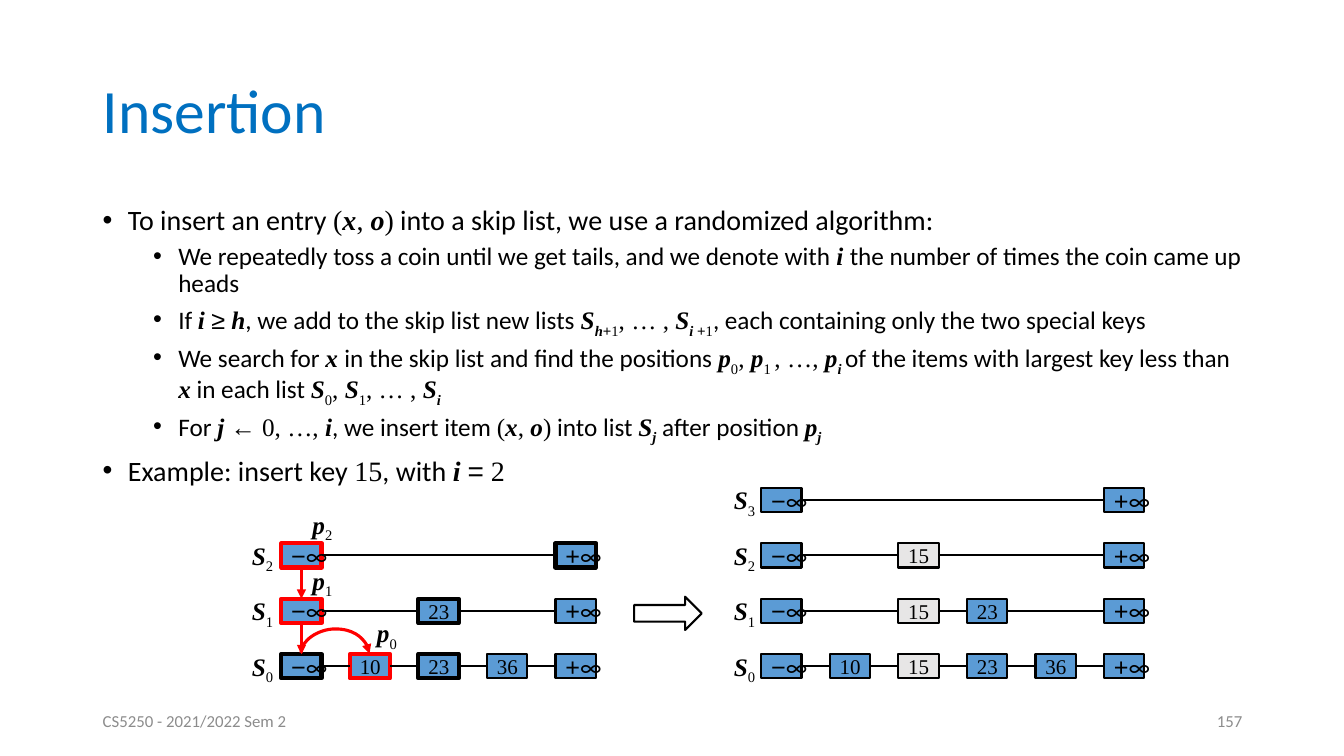
from dataclasses import dataclass
from itertools import pairwise
from typing import NamedTuple

import pptx
import pptx.dml.color
import pptx.enum.shapes
import pptx.enum.text
import pptx.oxml.ns
import pptx.shapes.autoshape
import pptx.shapes.connector
import pptx.slide
import pptx.text.text
import pptx.util
from lxml import etree

Inches = pptx.util.Inches
Pt = pptx.util.Pt
qn = pptx.oxml.ns.qn
SHAPE = pptx.enum.shapes.MSO_SHAPE
CONNECTOR = pptx.enum.shapes.MSO_CONNECTOR
ANCHOR = pptx.enum.text.MSO_ANCHOR
ALIGN = pptx.enum.text.PP_ALIGN

COLORS = {"title": "0070C0", "ink": "000000", "footer": "8C8C8C",
          "entry": "5B9BD5", "inserted": "E7E6E6", "visited": "FF0000"}
TOP, LEFT, BOTTOM, RIGHT = range(4)
NODE_W, NODE_H, COLUMN_STEP, LEVEL_STEP, BASE_Y = 0.4, 0.24, 0.68, 0.55, 6.49


class Style(NamedTuple):
    font: str
    variable: bool = False
    subscript: bool = False


PLAIN = Style("Calibri")
SYMBOL = Style("Arial")
MATH = Style("Times New Roman")
VAR = Style("Times New Roman", variable=True)
SUB = Style("Times New Roman", subscript=True)
VAR_SUB = Style("Times New Roman", variable=True, subscript=True)
SYMBOL_SUB = Style("Arial", subscript=True)

Span = tuple[str, Style]
PAIR: list[Span] = [("(", MATH), ("x", VAR), (", ", MATH), ("o", VAR), (")", MATH)]


def indexed(name: str, index: str, style: Style = SUB) -> list[Span]:
    return [(name, VAR), (index, style)]


class Bullet(NamedTuple):
    level: int
    spans: list[Span]


BULLETS = [
    Bullet(0, [("To insert an entry ", PLAIN), *PAIR,
               (" into a skip list, we use a randomized algorithm:", PLAIN)]),
    Bullet(1, [("We repeatedly toss a coin until we get tails, and we denote with ", PLAIN),
               ("i ", VAR), ("the number of times the coin came up heads", PLAIN)]),
    Bullet(1, [("If ", PLAIN), ("i ", VAR), ("≥", SYMBOL), (" h", VAR),
               (", we add to the skip list new lists ", PLAIN),
               *indexed("S", "h", VAR_SUB), ("+", SYMBOL_SUB), ("1", SUB), (", … , ", MATH),
               *indexed("S", "i ", VAR_SUB), ("+", SYMBOL_SUB), ("1", SUB),
               (", each containing only the two special keys", PLAIN)]),
    Bullet(1, [("We search for ", PLAIN), ("x ", VAR),
               ("in the skip list and find the positions ", PLAIN),
               *indexed("p", "0"), (", ", MATH), *indexed("p", "1 "), (", …, ", MATH),
               *indexed("p", "i ", VAR_SUB),
               ("of the items with largest key less than ", PLAIN), ("x", VAR),
               (" in each list ", PLAIN), *indexed("S", "0"), (", ", MATH),
               *indexed("S", "1"), (", … , ", MATH), *indexed("S", "i", VAR_SUB)]),
    Bullet(1, [("For ", PLAIN), ("j ", VAR), ("←", SYMBOL), (" 0, …, ", MATH), ("i", VAR),
               (", we insert item ", PLAIN), *PAIR, (" into list ", PLAIN),
               *indexed("S", "j", VAR_SUB), (" after position ", PLAIN),
               *indexed("p", "j", VAR_SUB)]),
    Bullet(0, [("Example: insert key ", PLAIN), ("15", MATH), (", with ", PLAIN),
               ("i ", VAR), ("=", SYMBOL), (" 2", MATH)]),
]


@dataclass(frozen=True)
class SkipList:
    """Keys per level from S0 up; visited and bold hold (level, key) pairs."""
    x: float
    label_x: float
    levels: list[list[str]]
    visited: frozenset[tuple[int, str]] = frozenset()
    bold: frozenset[tuple[int, str]] = frozenset()


BEFORE = SkipList(
    2.79, 2.4,
    [["−∞", "10", "23", "36", "+∞"], ["−∞", "23", "+∞"], ["−∞", "+∞"]],
    visited=frozenset({(2, "−∞"), (1, "−∞"), (0, "10")}),
    bold=frozenset({(2, "+∞"), (1, "23"), (0, "23"), (0, "−∞")}))
AFTER = SkipList(
    7.55, 7.18,
    [["−∞", "10", "15", "23", "36", "+∞"], ["−∞", "15", "23", "+∞"],
     ["−∞", "15", "+∞"], ["−∞", "+∞"]])
Nodes = dict[tuple[int, str], pptx.shapes.autoshape.Shape]


def rgb(name: str) -> pptx.dml.color.RGBColor:
    return pptx.dml.color.RGBColor.from_string(COLORS[name])


def write(paragraph: pptx.text.text._Paragraph, spans: list[Span], size: float,
          color: str = "ink") -> None:
    for text, style in spans:
        run = paragraph.add_run()
        run.text = text
        run.font.name = style.font
        run.font.size = Pt(size)
        run.font.color.rgb = rgb(color)
        if style.variable:
            run.font.bold = run.font.italic = True
        if style.subscript:
            run.font._element.set("baseline", "-25000")


def add_text(slide: pptx.slide.Slide, at: tuple[float, float, float, float], spans: list[Span],
             size: float, color: str = "ink", wrap: bool = True) -> pptx.text.text.TextFrame:
    frame = slide.shapes.add_textbox(*map(Inches, at)).text_frame
    frame.word_wrap = wrap
    frame.vertical_anchor = ANCHOR.MIDDLE if wrap else ANCHOR.TOP
    write(frame.paragraphs[0], spans, size, color)
    return frame


def add_label(slide: pptx.slide.Slide, x: float, y: float, name: str, index: int) -> None:
    frame = add_text(slide, (x, y, 0.42, 0.4), indexed(name, str(index)), 18, wrap=False)
    frame.auto_size = pptx.enum.text.MSO_AUTO_SIZE.SHAPE_TO_FIT_TEXT


def add_bullets(slide: pptx.slide.Slide) -> None:
    frame = slide.shapes.add_textbox(*map(Inches, (0.92, 2, 11.5, 4.76))).text_frame
    frame.word_wrap = True
    for number, bullet in enumerate(BULLETS):
        paragraph = frame.add_paragraph() if number else frame.paragraphs[0]
        paragraph.level = bullet.level
        paragraph.line_spacing = 0.9
        paragraph.space_before = Pt((5 if bullet.level else 10) if number else 0)
        properties = paragraph._p.get_or_add_pPr()
        properties.set("marL", str(Inches(0.25 + 0.5 * bullet.level)))
        properties.set("indent", str(Inches(-0.25)))
        etree.SubElement(properties, qn("a:buFont"), typeface="Arial")
        etree.SubElement(properties, qn("a:buChar"), char="•")
        write(paragraph, bullet.spans, 18 if bullet.level else 20)


def style_connector(connector: pptx.shapes.connector.Connector, search: bool = False) -> None:
    """Black link, or red arrow for a search step."""
    connector.line.color.rgb = rgb("visited" if search else "ink")
    connector.line.width = Pt(2.25 if search else 1.5)
    properties = connector.element.spPr
    if search:
        etree.SubElement(properties.find(qn("a:ln")), qn("a:tailEnd"), type="triangle")
    etree.SubElement(properties, qn("a:effectLst"))


def join(slide: pptx.slide.Slide, start: pptx.shapes.autoshape.Shape, start_side: int,
         end: pptx.shapes.autoshape.Shape, end_side: int, search: bool = False) -> None:
    connector = slide.shapes.add_connector(CONNECTOR.STRAIGHT, 0, 0, 0, 0)
    connector.begin_connect(start, start_side)
    connector.end_connect(end, end_side)
    style_connector(connector, search)


def add_skip_list(slide: pptx.slide.Slide, skip_list: SkipList) -> Nodes:
    nodes: Nodes = {}
    for level, keys in enumerate(skip_list.levels):
        y = BASE_Y - LEVEL_STEP * level
        add_label(slide, skip_list.label_x, y - 0.08, "S", level)
        for key in keys:
            x = skip_list.x + COLUMN_STEP * skip_list.levels[0].index(key)
            node = slide.shapes.add_shape(SHAPE.RECTANGLE, *map(Inches, (x, y, NODE_W, NODE_H)))
            visited = (level, key) in skip_list.visited
            node.shadow.inherit = False
            node.fill.solid()
            node.fill.fore_color.rgb = rgb("inserted" if key == "15" else "entry")
            node.line.color.rgb = rgb("visited" if visited else "ink")
            node.line.width = Pt(3 if visited or (level, key) in skip_list.bold else 1.5)
            node.text_frame.word_wrap = False
            node.text_frame.vertical_anchor = ANCHOR.MIDDLE
            paragraph = node.text_frame.paragraphs[0]
            paragraph.alignment = ALIGN.LEFT
            if "∞" in key:
                write(paragraph, [(key[0], SYMBOL), (key[1], PLAIN)], 18)
            else:
                write(paragraph, [(key, MATH)], 15)
            nodes[level, key] = node
        for left, right in pairwise(keys):
            join(slide, nodes[level, left], RIGHT, nodes[level, right], LEFT)
    return nodes


def add_search_steps(slide: pptx.slide.Slide, nodes: Nodes) -> None:
    for level in (2, 1):
        join(slide, nodes[level, "−∞"], BOTTOM, nodes[level - 1, "−∞"], TOP, search=True)
    # A quarter turn makes the curve leave upwards and arrive downwards.
    hop = slide.shapes.add_connector(CONNECTOR.CURVE, *map(Inches, (3.32, 6.82, 3.33, 6.14)))
    properties = hop.element.spPr
    properties.find(qn("a:xfrm")).set("rot", "5400000")
    adjustments = properties.find(qn("a:prstGeom")).find(qn("a:avLst"))
    etree.SubElement(adjustments, qn("a:gd"), name="adj1", fmla="val -2400000")
    style_connector(hop, search=True)
    for index, (x, y) in enumerate([(3.64, 6.08), (3, 5.56), (3, 5)]):
        add_label(slide, x, y, "p", index)


def main() -> None:
    deck = pptx.Presentation()
    deck.slide_width, deck.slide_height = Inches(13.33), Inches(7.5)
    slide = deck.slides.add_slide(deck.slide_layouts[6])
    title = add_text(slide, (0.92, 0.4, 11.5, 1.45), [("Insertion", PLAIN)], 44, "title")
    title.paragraphs[0].line_spacing = 0.9
    add_bullets(slide)
    add_search_steps(slide, add_skip_list(slide, BEFORE))
    add_skip_list(slide, AFTER)
    becomes = slide.shapes.add_shape(SHAPE.RIGHT_ARROW, *map(Inches, (6.29, 5.92, 0.67, 0.33)))
    becomes.shadow.inherit = False
    becomes.fill.background()
    becomes.line.color.rgb = rgb("ink")
    becomes.line.width = Pt(1.5)
    add_text(slide, (0.92, 6.95, 3, 0.4), [("CS5250 - 2021/2022 Sem 2", PLAIN)], 12, "footer")
    page = add_text(slide, (9.42, 6.95, 3, 0.4), [("157", PLAIN)], 12, "footer")
    page.paragraphs[0].alignment = ALIGN.RIGHT
    deck.save("out.pptx")


if __name__ == "__main__":
    main()
